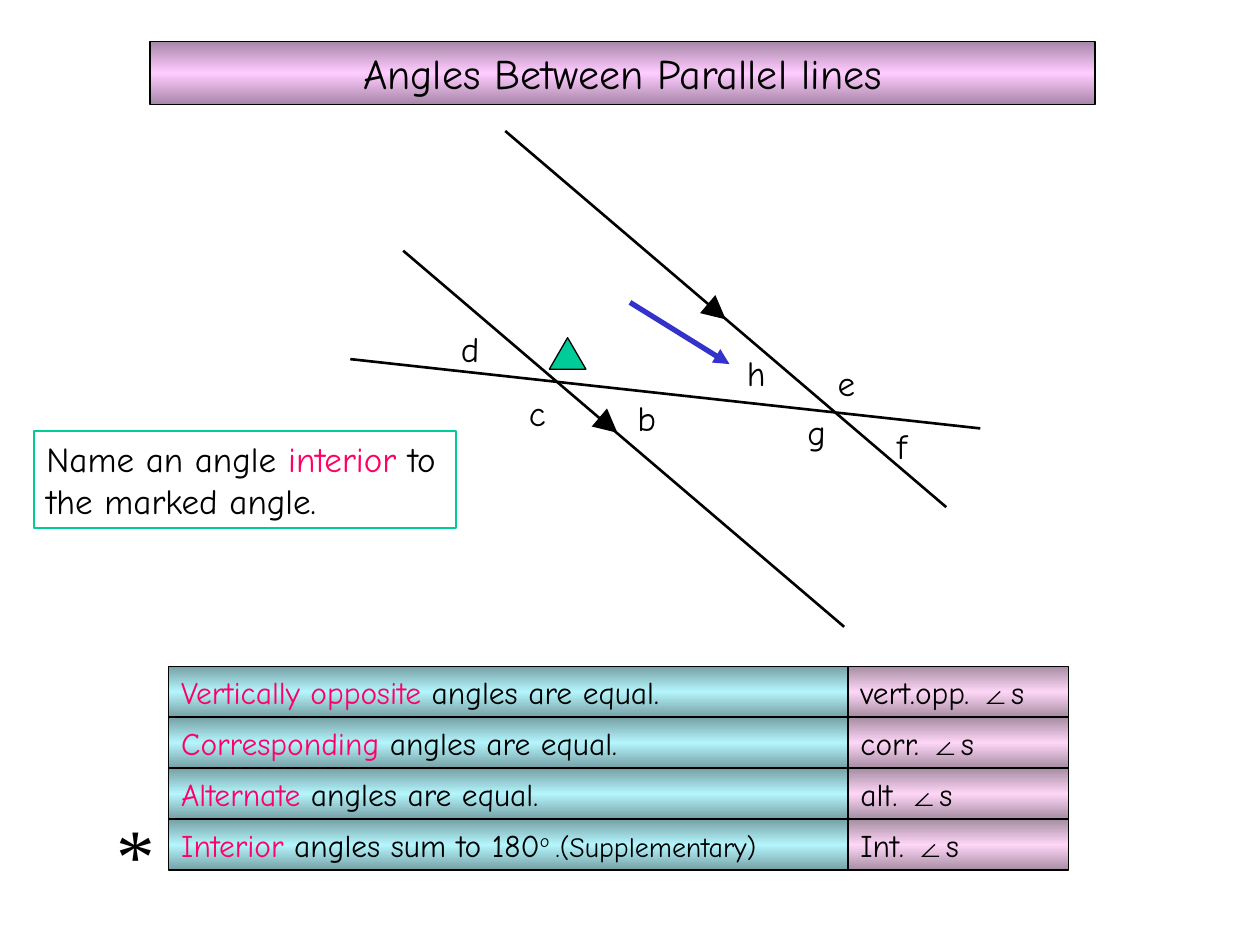
from copy import deepcopy
from typing import NamedTuple, Optional

from lxml.etree import SubElement
from pptx import Presentation
from pptx.dml.color import RGBColor
from pptx.enum.shapes import MSO_CONNECTOR as Connector, MSO_SHAPE as Preset
from pptx.enum.text import MSO_ANCHOR as Anchor, MSO_AUTO_SIZE as AutoSize, PP_ALIGN as Align
from pptx.oxml.ns import qn
from pptx.util import Inches, Pt

COLUMNS, ROWS, UNIT = 100, 75, 0.1
COLORS = {
    "ink": "000000", "accent": "FF0066", "green": "00CC99", "blue": "3333CC",
    "title_edge": "A886A8", "title_core": "FFCCFF",
    "rule_edge": "76A1A6", "rule_core": "B4F5FC",
    "short_edge": "A78DA3", "short_core": "FED6F7",
}


class Area(NamedTuple):
    column: float
    row: float
    columns: float
    rows: float


class Span(NamedTuple):
    text: str
    color: str = "ink"
    font: str = "Comic Neue"
    size: Optional[float] = None
    raised: bool = False


class Line(NamedTuple):
    start: tuple[float, float]
    end: tuple[float, float]
    width: float = 1.5
    color: str = "ink"
    arrow: bool = False


class Label(NamedTuple):
    letter: str
    column: float
    row: float


class Rule(NamedTuple):
    spans: list[Span]
    short: str


TRANSVERSAL = Line((27.8, 28.5), (77.8, 34))
POINTER = Line((50, 24), (57.9, 28.9), 3, "blue", True)
RUN, RISE = 35, 29.85
PARALLEL_STARTS = [(40.1, 10.4), (32, 19.9)]
ARROW_STARTS = [(56.6, 24.5), (48, 33.5)]

LABELS = [
    Label("h", 58.3, 27.4), Label("f", 70.2, 33.2), Label("e", 65.5, 28.2),
    Label("b", 49.6, 31), Label("g", 63.1, 32.1), Label("d", 35.6, 25.5),
    Label("c", 41, 30.6),
]
RULES = [
    Rule([Span("Vertically opposite", "accent"), Span(" angles are equal.")], "vert.opp. "),
    Rule([Span("Corresponding", "accent"), Span(" angles are equal.")], "corr. "),
    Rule([Span("Alternate ", "accent"), Span("angles are equal.")], "alt. "),
    Rule([Span("Interior ", "accent"), Span("angles sum to 180"),
          Span("o ", raised=True), Span(".(Supplementary)", size=16)], "Int. "),
]


def grid(*counts: float) -> list[Inches]:
    return [Inches(count * UNIT) for count in counts]


def rgb(name: str) -> RGBColor:
    return RGBColor.from_string(COLORS[name])


def write(box, spans: list[Span], *, size: float, align=Align.LEFT) -> None:
    frame = box.text_frame
    frame.word_wrap = True
    frame.auto_size = AutoSize.SHAPE_TO_FIT_TEXT
    frame.vertical_anchor = Anchor.TOP
    para = frame.paragraphs[0]
    para.alignment = align
    for span in spans:
        run = para.add_run()
        run.text = span.text
        run.font.name = span.font
        run.font.size = Pt(span.size or size)
        run.font.color.rgb = rgb(span.color)
        if span.raised:
            run.font._element.set("baseline", "30000")


def add_text(page, area: Area, spans: list[Span], **style) -> None:
    write(page.shapes.add_textbox(*grid(*area)), spans, **style)


def add_panel(page, area: Area, *, preset=Preset.RECTANGLE, line: str = "ink"):
    box = page.shapes.add_shape(preset, *grid(*area))
    box.shadow.inherit = False
    box.fill.background()
    box.line.color.rgb = rgb(line)
    box.line.width = Pt(0.75)
    return box


def shade(box, tone: str) -> None:
    box.fill.gradient()
    box.fill.gradient_angle = 270
    stops = box._element.spPr.find(".//" + qn("a:gsLst"))
    stops.append(deepcopy(stops[0]))
    for index, (stop, part) in enumerate(zip(box.fill.gradient_stops, ("edge", "core", "edge"))):
        stop.position = index / 2
        stop.color.rgb = rgb(f"{tone}_{part}")


def add_band(page, area: Area, tone: str, spans: list[Span], **style) -> None:
    box = add_panel(page, area)
    shade(box, tone)
    write(box, spans, **style)


def add_line(shapes, line: Line) -> None:
    connector = shapes.add_connector(Connector.STRAIGHT, *grid(*line.start, *line.end))
    connector.line.color.rgb = rgb(line.color)
    connector.line.width = Pt(line.width)
    if line.arrow:
        SubElement(connector.line._get_or_add_ln(), qn("a:tailEnd"), type="triangle")
    SubElement(connector._element.spPr, qn("a:effectLst"))


def add_diagram(page) -> None:
    pair = page.shapes.add_group_shape().shapes
    for x, y in PARALLEL_STARTS:
        add_line(pair, Line((x, y), (x + RUN, y + RISE)))
    for x, y in ARROW_STARTS:
        add_line(pair, Line((x, y), (x + 1, y + 0.85), 4.5, arrow=True))
    add_line(page.shapes, TRANSVERSAL)
    marker = add_panel(page, Area(43.6, 26.8, 2.9, 2.5), preset=Preset.ISOSCELES_TRIANGLE)
    marker.fill.solid()
    marker.fill.fore_color.rgb = rgb("green")
    for label in LABELS:
        add_text(page, Area(label.column, label.row, 4.3, 4.4), [Span(label.letter)], size=20)


def add_rules(page, *, left: float, top: float, pitch: float) -> None:
    for index, rule in enumerate(RULES):
        row = top + index * pitch
        short = [Span(rule.short), Span("∠", font="Arial"), Span("s")]
        add_band(page, Area(left, row, 54, 4), "rule", rule.spans, size=18)
        add_band(page, Area(left + 53.9, row, 17.5, 4), "short", short, size=18)


def main() -> None:
    deck = Presentation()
    deck.slide_width, deck.slide_height = grid(COLUMNS, ROWS)
    page = deck.slides.add_slide(deck.slide_layouts[6])
    add_band(page, Area(11.9, 3.3, 75, 5), "title", [Span("Angles Between Parallel lines")],
             size=24, align=Align.CENTER)
    add_diagram(page)
    question = add_panel(page, Area(2.7, 34.2, 33.5, 7.7), line="green")
    write(question, [Span("Name an angle "), Span("interior ", "accent"),
                     Span("to the marked angle.")], size=20)
    add_line(page.shapes, POINTER)
    add_rules(page, left=13.4, top=52.9, pitch=4.05)
    add_text(page, Area(7.4, 63.5, 6.8, 8.4), [Span("*", font="Times New Roman")],
             size=44, align=Align.CENTER)
    deck.save("out.pptx")


if __name__ == "__main__":
    main()
